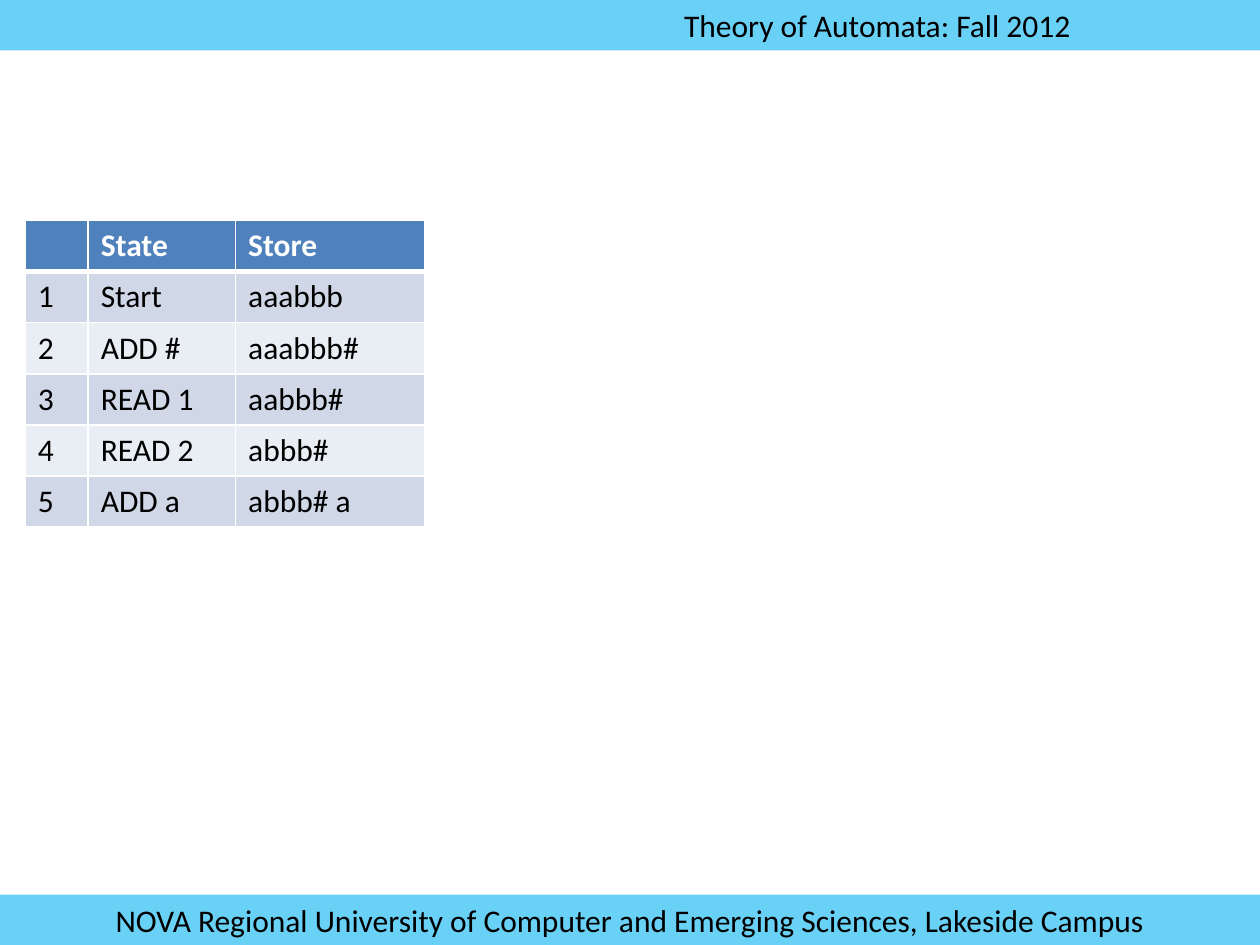
from lxml import etree
from pptx import Presentation
from pptx.dml.color import RGBColor
from pptx.enum import shapes, text
from pptx.oxml.ns import qn
from pptx.util import Inches, Pt

HUES = {"bar": "00B0F0", "head": "4F81BD", "odd": "D0D8E8",
        "even": "E9EDF4", "ink": "000000", "white": "FFFFFF"}

ROWS = [
    ("", "State", "Store"),
    ("1", "Start", "aaabbb"),
    ("2", "ADD #", "aaabbb#"),
    ("3", "READ 1", "aabbb#"),
    ("4", "READ 2", "abbb#"),
    ("5", "ADD a", "abbb# a"),
]


class Deck:
    """Holds the style and the current slide."""

    def __init__(self, slide):
        self.slide = slide
        self.font = {"name": "Calibri", "size": Pt(18)}

    def label(self, frame, words, hue="ink", bold=False):
        para = frame.paragraphs[0]
        para.text = words
        for key, val in {**self.font, "bold": bold}.items():
            setattr(para.font, key, val)
        para.font.color.rgb = RGBColor.from_string(HUES[hue])
        return para

    def paint(self, fill, hue):
        fill.solid()
        fill.fore_color.rgb = RGBColor.from_string(HUES[hue])

    def bar(self, top, words, align, left=0.1):
        box = self.slide.shapes.add_shape(
            shapes.MSO_SHAPE.RECTANGLE, 0, Inches(top), Inches(10), Inches(0.4))
        box.shadow.inherit = False
        box.line.fill.background()
        self.paint(box.fill, "bar")
        # 59% opacity
        tint = box.element.spPr.find(".//" + qn("a:srgbClr"))
        etree.SubElement(tint, qn("a:alpha"), val="59000")
        frame = box.text_frame
        look = {"margin_left": Inches(left), "word_wrap": True,
                "vertical_anchor": text.MSO_ANCHOR.TOP}
        for key, val in look.items():
            setattr(frame, key, val)
        self.label(frame, words).alignment = align

    def edge(self, cell, base):
        props = cell._tc.get_or_add_tcPr()
        for side, width in {"L": 1, "R": 1, "T": 1, "B": base}.items():
            line = etree.SubElement(props, qn("a:ln" + side), w=str(Pt(width)))
            fill = etree.SubElement(line, qn("a:solidFill"))
            etree.SubElement(fill, qn("a:srgbClr"), val=HUES["white"])

    def table(self, left, top, widths, height, rows):
        grid = self.slide.shapes.add_table(
            len(rows), len(widths), Inches(left), Inches(top),
            Inches(sum(widths)), Inches(height)).table
        for col, width in zip(grid.columns, widths):
            col.width = Inches(width)
        for r, row in enumerate(rows):
            head = r == 0
            hue = "head" if head else "odd" if r % 2 else "even"
            for c, words in enumerate(row):
                cell = grid.cell(r, c)
                self.edge(cell, 3 if head else 1)
                self.paint(cell.fill, hue)
                self.label(cell.text_frame, words,
                           "white" if head else "ink", head)


def main():
    prs = Presentation()
    prs.slide_width, prs.slide_height = Inches(10), Inches(7.5)
    deck = Deck(prs.slides.add_slide(prs.slide_layouts[6]))

    # Header and footer bars
    deck.bar(0, "Theory of Automata: Fall 2012", text.PP_ALIGN.LEFT, 5.43)
    deck.bar(7.1, "NOVA Regional University of Computer and Emerging Sciences, "
             "Lakeside Campus", text.PP_ALIGN.CENTER)

    # Trace of states and store
    deck.table(0.2, 1.75, (0.5, 1.17, 1.5), 2.43, ROWS)

    prs.save("out.pptx")


if __name__ == "__main__":
    main()
